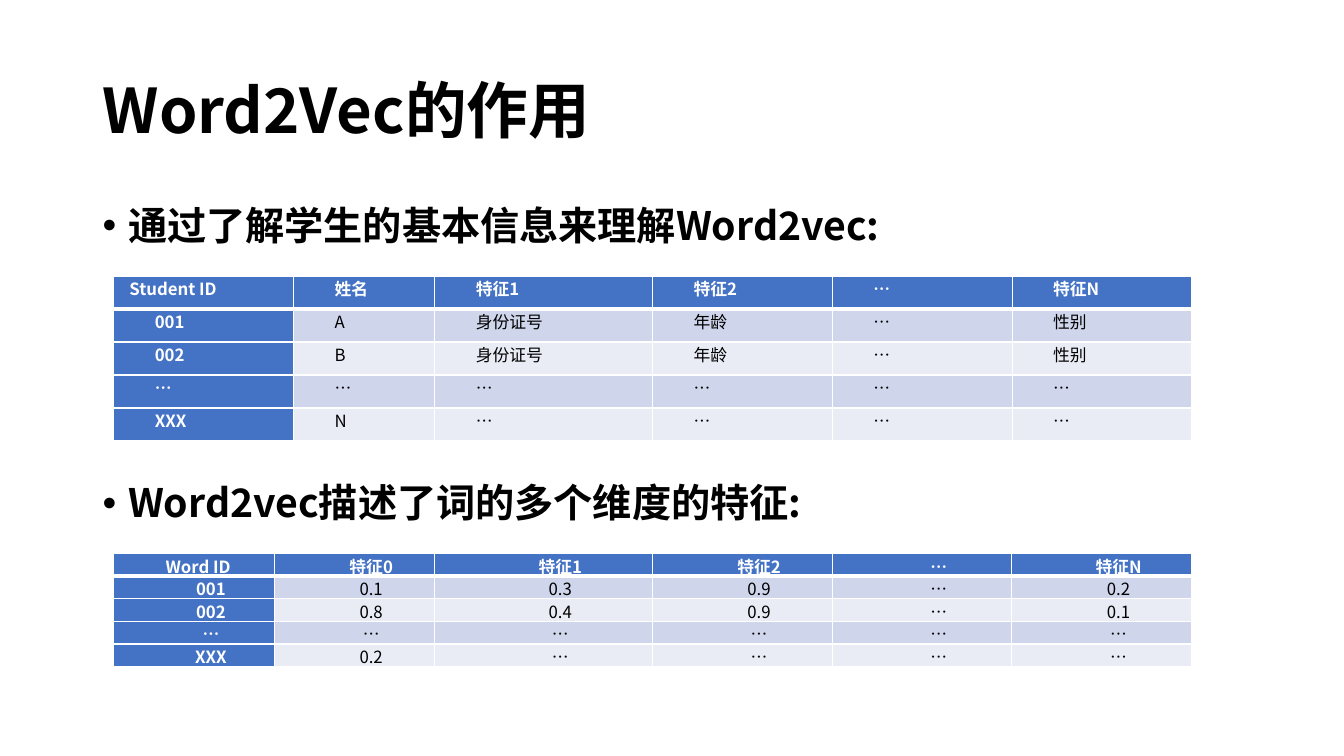
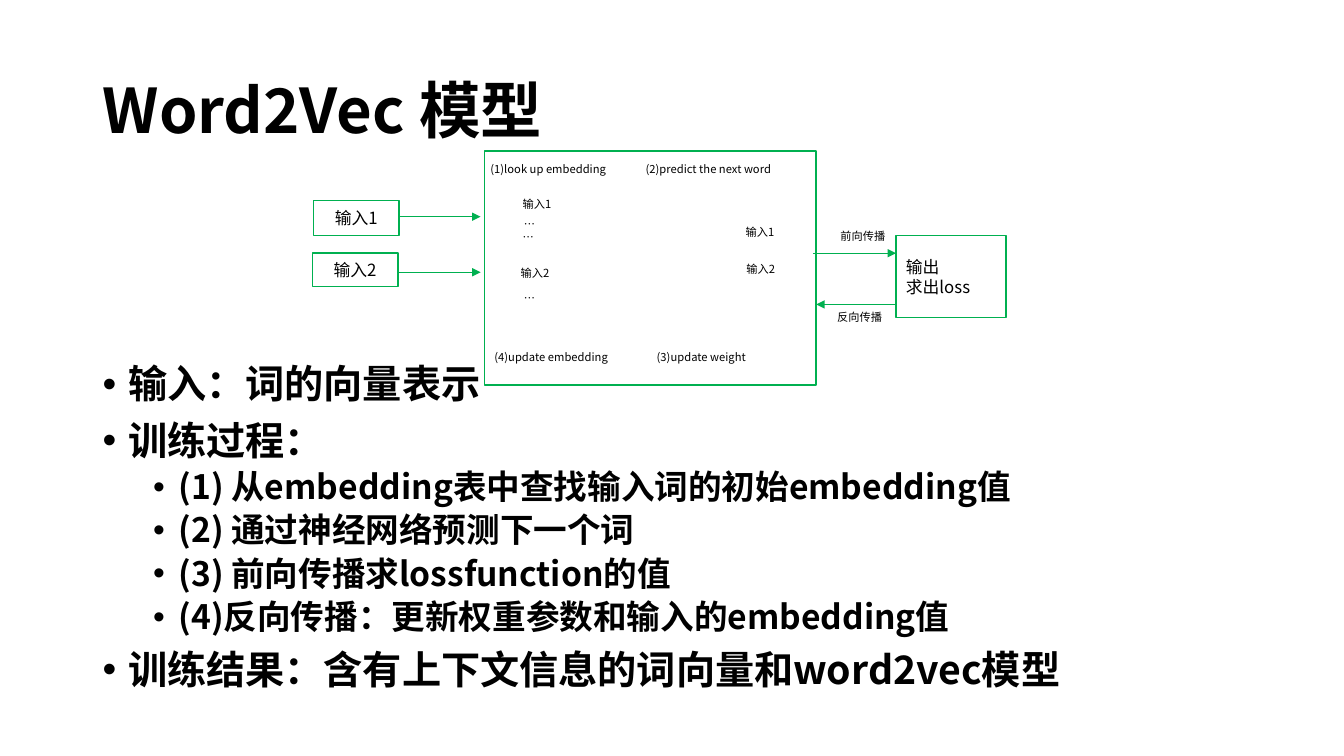
from lxml.etree import SubElement
from pptx import Presentation
from pptx.dml.color import RGBColor
from pptx.enum.shapes import MSO_CONNECTOR as Connector, MSO_SHAPE as Preset
from pptx.enum.text import MSO_ANCHOR as Anchor, PP_ALIGN as Align
from pptx.oxml import parse_xml
from pptx.oxml.ns import nsdecls, qn
from pptx.util import Cm, Pt

FONT = "Noto Sans CJK SC"
BLACK, WHITE, GREEN = "000000", "FFFFFF", "00B050"
HEADER, BANDS = "4472C4", ("CFD5EA", "E9EBF5")
LEFT, WIDTH = 2.34, 29.21
BULLETS = (
    dict(size=28, margin=0.64, before=10),
    dict(size=24, margin=1.91, before=5),
)


def rgb(value):
    return RGBColor.from_string(value)


def write(paragraph, text, size=12, color=BLACK, bold=False, align=Align.LEFT,
          spacing=None, before=None, margin=0, indent=0, bullet=None):
    properties = paragraph._p.get_or_add_pPr()
    properties.set("marL", str(Cm(margin)))
    properties.set("indent", str(Cm(indent)))
    if bullet:
        SubElement(properties, qn("a:buFont"), typeface="Arial")
        SubElement(properties, qn("a:buChar"), char=bullet)
    paragraph.alignment = align
    if spacing:
        paragraph.line_spacing = spacing
    if before:
        paragraph.space_before = Pt(before)
    run = paragraph.add_run()
    run.text = text
    run.font.size = Pt(size)
    run.font.bold = bold
    run.font.color.rgb = rgb(color)
    run.font.name = FONT
    SubElement(run._r.get_or_add_rPr(), qn("a:ea"), typeface=FONT)


def next_paragraph(frame, number):
    return frame.add_paragraph() if number else frame.paragraphs[0]


def add_text(slide, text, left, top, width, height, anchor=Anchor.TOP, **style):
    frame = slide.shapes.add_textbox(Cm(left), Cm(top), Cm(width), Cm(height)).text_frame
    frame.word_wrap = True
    frame.vertical_anchor = anchor
    write(frame.paragraphs[0], text, **style)


def add_title(slide, text):
    add_text(slide, text, LEFT, 1.02, WIDTH, 3.68, Anchor.MIDDLE,
             size=44, bold=True, spacing=0.9)


def add_bullets(slide, items, left, top, width, height):
    frame = slide.shapes.add_textbox(Cm(left), Cm(top), Cm(width), Cm(height)).text_frame
    frame.word_wrap = True
    for number, (level, text) in enumerate(items):
        style = dict(BULLETS[level])
        if number == 0:
            style["before"] = None
        write(next_paragraph(frame, number), text, bold=True, spacing=0.9,
              indent=-0.64, bullet="•", **style)


def set_borders(cell, widths):
    properties = cell._tc.get_or_add_tcPr()
    for position, (side, width) in enumerate(widths.items()):
        properties.insert(position, parse_xml(
            f'<a:ln{side} {nsdecls("a")} w="{Pt(width)}"><a:solidFill>'
            f'<a:srgbClr val="{WHITE}"/></a:solidFill></a:ln{side}>'))


def add_table(slide, rows, left, top, widths, row_height, align):
    table = slide.shapes.add_table(
        len(rows), len(widths), Cm(left), Cm(top),
        Cm(sum(widths)), Cm(row_height * len(rows))).table
    table.first_row = table.horz_banding = False
    for column, width in zip(table.columns, widths):
        column.width = Cm(width)
    for row, texts in enumerate(rows):
        table.rows[row].height = Cm(row_height)
        for column, text in enumerate(texts):
            cell = table.cell(row, column)
            heading = row == 0 or column == 0
            cell.fill.solid()
            cell.fill.fore_color.rgb = rgb(HEADER if heading else BANDS[(row - 1) % 2])
            cell.margin_left = cell.margin_right = Cm(0.18)
            cell.margin_top = cell.margin_bottom = 0
            set_borders(cell, {"L": 1, "R": 1, "T": 3 if row == 1 else 1,
                               "B": 3 if row == 0 else 1})
            corner = row == 0 and column == 0
            write(cell.text_frame.paragraphs[0], text,
                  color=WHITE if heading else BLACK, bold=heading, align=align,
                  margin=0.42 if corner else 0, indent=-0.21 if corner else 0.85)


def add_table_section(slide, heading, rows, top, widths, row_height, align):
    add_bullets(slide, [(0, heading)], LEFT, top, WIDTH, 1.88)
    add_table(slide, rows, LEFT + 0.53, top + 1.88, widths, row_height, align)


def add_box(slide, lines, left, top, width, height, align=Align.CENTER):
    shape = slide.shapes.add_shape(Preset.RECTANGLE, Cm(left), Cm(top), Cm(width), Cm(height))
    shape.shadow.inherit = False
    shape.fill.background()
    shape.line.color.rgb = rgb(GREEN)
    shape.line.width = Pt(1)
    shape.text_frame.vertical_anchor = Anchor.MIDDLE
    for number, text in enumerate(lines):
        write(next_paragraph(shape.text_frame, number), text, align=align)


def add_arrow(slide, start, end, y):
    arrow = slide.shapes.add_connector(Connector.STRAIGHT, Cm(start), Cm(y), Cm(end), Cm(y))
    arrow.line.color.rgb = rgb(GREEN)
    arrow.line.width = Pt(0.5)
    SubElement(arrow.line._get_or_add_ln(), qn("a:tailEnd"), type="triangle")
    SubElement(arrow._element.spPr, qn("a:effectLst"))


def add_diagram(slide, left, top):
    boxes = (
        ([], 4.34, 0, 8.36, 5.89, Align.CENTER),
        (["输入1"], 0.03, 1.24, 2.16, 0.89, Align.CENTER),
        (["输入2"], 0, 2.57, 2.16, 0.84, Align.CENTER),
        (["输出", "求出loss"], 14.71, 2.13, 2.77, 2.06, Align.LEFT),
    )
    for lines, x, y, width, height, align in boxes:
        add_box(slide, lines, left + x, top + y, width, height, align)
    arrows = ((2.16, 4.24, 1.65), (2.16, 4.24, 3.05), (12.62, 14.71, 2.57), (14.73, 12.7, 3.86))
    for start, end, y in arrows:
        add_arrow(slide, left + start, left + end, top + y)
    labels = (
        ("(1)look up embedding", 4.24, 0.15, 3.8),
        ("(2)predict the next word", 8.15, 0.15, 4.1),
        ("(3)update weight", 8.43, 4.9, 3),
        ("(4)update embedding", 4.34, 4.9, 3.8),
        ("输入1", 5.05, 1.04, 1.6),
        ("…", 5.08, 1.55, 1.6),
        ("…", 5.05, 1.88, 1.6),
        ("输入2", 5, 2.77, 1.6),
        ("…", 5.08, 3.4, 1.6),
        ("输入1", 10.67, 1.75, 1.6),
        ("输入2", 10.69, 2.67, 1.6),
        ("前向传播", 13.06, 1.85, 2.4),
        ("反向传播", 12.98, 3.89, 2.4),
    )
    for text, x, y, width in labels:
        add_text(slide, text, left + x, top + y, width, 0.86, size=8)


def build_purpose(slide):
    add_title(slide, "Word2Vec的作用")
    students = (
        ("Student ID", "姓名", "特征1", "特征2", "…", "特征N"),
        ("001", "A", "身份证号", "年龄", "…", "性别"),
        ("002", "B", "身份证号", "年龄", "…", "性别"),
        ("…",) * 6,
        ("XXX", "N") + ("…",) * 4,
    )
    words = (
        ("Word ID", "特征0", "特征1", "特征2", "…", "特征N"),
        ("001", "0.1", "0.3", "0.9", "…", "0.2"),
        ("002", "0.8", "0.4", "0.9", "…", "0.1"),
        ("…",) * 6,
        ("XXX", "0.2") + ("…",) * 4,
    )
    shared_widths = [5.49] + [4.53] * 3
    add_table_section(slide, "通过了解学生的基本信息来理解Word2vec:", students,
                      5.08, [4.53, 3.56] + shared_widths, 0.83, Align.LEFT)
    add_table_section(slide, "Word2vec描述了词的多个维度的特征:", words,
                      12.07, [4.04, 4.04] + shared_widths, 0.57, Align.CENTER)


def build_model(slide):
    add_title(slide, "Word2Vec 模型")
    add_bullets(slide, (
        (0, "输入：词的向量表示"),
        (0, "训练过程："),
        (1, "(1) 从embedding表中查找输入词的初始embedding值"),
        (1, "(2) 通过神经网络预测下一个词"),
        (1, "(3) 前向传播求lossfunction的值"),
        (1, "(4)反向传播：更新权重参数和输入的embedding值"),
        (0, "训练结果：含有上下文信息的词向量和word2vec模型"),
    ), LEFT, 9.07, WIDTH, 9.5)
    add_diagram(slide, 7.87, 3.81)


def main():
    presentation = Presentation()
    presentation.slide_width, presentation.slide_height = Cm(33.87), Cm(19.05)
    for build in (build_purpose, build_model):
        build(presentation.slides.add_slide(presentation.slide_layouts[6]))
    presentation.save("out.pptx")


if __name__ == "__main__":
    main()
